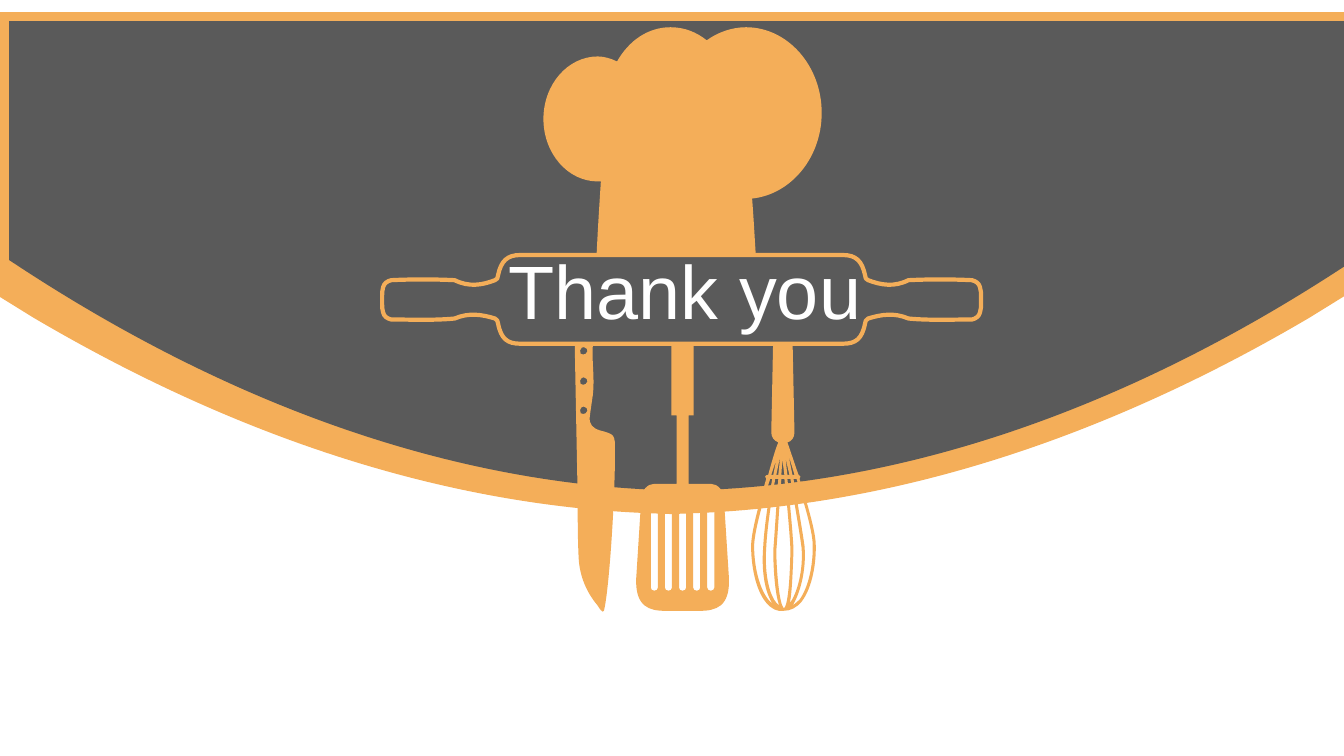
from lxml import etree
from pptx import Presentation
from pptx.dml.color import RGBColor
from pptx.enum.text import MSO_ANCHOR, PP_ALIGN
from pptx.oxml.ns import qn
from pptx.util import Inches, Pt

ORANGE = RGBColor(0xF4, 0xAE, 0x59)
GREY = RGBColor(0x5A, 0x5A, 0x5A)
WHITE = RGBColor(0xFF, 0xFF, 0xFF)


def trace(outline, axis=None):
    segs = []
    for part in outline.split(";"):
        v = [float(n) for n in part.split()]
        segs.append(list(zip(v[::2], v[1::2])))
    if axis is not None:
        for i in range(len(segs) - 1, 0, -1):
            back = segs[i][-2::-1] + [segs[i - 1][-1]]
            segs.append([(2 * axis - x, y) for x, y in back])
    return segs


def draw(shapes, outlines, fill, axis=None):
    contours = [trace(outlines[0], axis)] + [trace(o) for o in outlines[1:]]
    xs, ys = zip(*[seg[-1] for seg in contours[0]])
    left, top, right, bottom = [Inches(n) for n in (min(xs), min(ys), max(xs), max(ys))]
    builder = shapes.build_freeform(left, top)
    builder.add_line_segments([(right, top), (right, bottom), (left, bottom)])
    sp = builder.convert_to_shape()
    geometry = next(sp._element.iter(qn("a:path")))
    for child in list(geometry):
        geometry.remove(child)
    for segs in contours:
        for i, seg in enumerate(segs):
            tag = "a:moveTo" if i == 0 else "a:lnTo" if len(seg) == 1 else "a:cubicBezTo"
            step = etree.SubElement(geometry, qn(tag))
            for x, y in seg:
                etree.SubElement(step, qn("a:pt"), x=str(Inches(x) - left), y=str(Inches(y) - top))
        etree.SubElement(geometry, qn("a:close"))
    sp.shadow.inherit = False
    sp.fill.solid()
    sp.fill.fore_color.rgb = fill
    sp.line.fill.background()
    return sp


prs = Presentation()
prs.slide_width, prs.slide_height = Inches(13.33), Inches(7.5)
s = prs.slides.add_slide(prs.slide_layouts[6])

draw(s.shapes, ["6.66 0.12; 13.33 0.12; 13.33 2.94; 12.99 3.15;"
                "11.09 4.27 9.04 5 6.92 5.09; 6.66 5.1"], ORANGE, axis=6.66)
draw(s.shapes, ["6.76 0.21; 13.43 0.21; 13.43 2.58;"
                "11.46 3.89 9.29 4.76 7.03 4.86; 6.76 4.87"], GREY, axis=6.76)

tools = s.shapes.add_group_shape().shapes

knife = ["5.7 3.38; 5.71 3.91 5.72 4.41 5.73 4.94; 5.73 5.14 5.73 5.34 5.74 5.54;"
         "5.75 5.72 5.82 5.88 5.93 6.01; 5.94 6.03 5.98 6.09 5.99 6.06;"
         "6.04 5.87 6.1 4.98 6.1 4.48; 6.1 4.31 6.1 4.31 5.95 4.27;"
         "5.88 4.25 5.84 4.21 5.85 4.13; 5.86 4.06 5.87 3.99 5.88 3.92;"
         "5.9 3.75 5.87 3.6 5.88 3.43; 5.91 3.41 5.92 3.38 5.92 3.34;"
         "5.92 3.27 5.87 3.22 5.82 3.22; 5.78 3.22; 5.76 3.23 5.73 3.25 5.71 3.28;"
         "5.69 3.31 5.7 3.35 5.7 3.38"]
for y in (3.48, 3.78, 4.07):
    knife.append(f"5.77 {y - 0.03}; 5.78 {y - 0.04} 5.8 {y - 0.04} 5.82 {y - 0.02};"
                 f"5.83 {y - 0.01} 5.83 {y + 0.02} 5.81 {y + 0.03};"
                 f"5.8 {y + 0.04} 5.77 {y + 0.04} 5.76 {y + 0.03};"
                 f"5.75 {y + 0.01} 5.75 {y - 0.02} 5.77 {y - 0.03}")
draw(tools, knife, ORANGE)

spatula = ["6.77 3.21; 6.88 3.21; 6.88 4.12; 6.83 4.12; 6.83 4.8; 7.05 4.8;"
           "7.12 4.8 7.18 4.87 7.18 4.95; 7.23 5.74; 7.24 6.02 7.1 6.06 6.94 6.06; 6.77 6.06"]
for i in range(5):
    x = 6.49 + 0.14 * i
    l, r = x - 0.035, x + 0.035
    spatula.append(f"{x} 4.92; {x - 0.02} 4.92 {l} 4.93 {l} 4.95; {l} 5.83;"
                   f"{l} 5.85 {x - 0.02} 5.86 {x} 5.86; {x + 0.02} 5.86 {r} 5.85 {r} 5.83;"
                   f"{r} 4.95; {r} 4.93 {x + 0.02} 4.92 {x} 4.92")
draw(tools, spatula, ORANGE, axis=6.77)

whisk_body = ("7.6 5.98; 7.65 6.04 7.71 6.07 7.77 6.06; 7.84 6.06 7.9 6.03 7.95 5.97;"
              "8.06 5.83 8.1 5.57 8.09 5.38; 8.08 5.24 8 4.97 7.93 4.75; 7.94 4.73;"
              "7.94 4.72 7.93 4.71 7.92 4.71; 7.87 4.57 7.83 4.44 7.81 4.39;"
              "7.85 4.38 7.88 4.34 7.88 4.29; 7.86 3.32; 7.86 3.26 7.82 3.21 7.77 3.21;"
              "7.71 3.21 7.67 3.26 7.67 3.32; 7.65 4.29; 7.65 4.34 7.68 4.37 7.72 4.39;"
              "7.7 4.43 7.66 4.56 7.62 4.71; 7.6 4.71 7.59 4.72 7.59 4.73; 7.6 4.75;"
              "7.53 4.99 7.45 5.28 7.45 5.42; 7.45 5.6 7.49 5.85 7.6 5.98")
wire_gaps = [
    "7.78 4.75; 7.81 5.03 7.84 5.38 7.84 5.46; 7.83 6.01 7.78 6.03 7.78 6.03; 7.77 6.03;"
    "7.73 5.98 7.7 5.66 7.7 5.46; 7.71 5.35 7.73 5.02 7.75 4.75",
    "7.83 6; 7.85 5.92 7.86 5.77 7.87 5.46; 7.87 5.38 7.84 5.03 7.81 4.75; 7.84 4.75;"
    "7.88 4.99 7.93 5.28 7.95 5.43; 7.97 5.67 7.9 5.9 7.83 5.99",
    "7.72 4.75; 7.7 5.02 7.68 5.34 7.67 5.46; 7.67 5.58 7.68 5.88 7.73 6.01; 7.7 5.98;"
    "7.64 5.91 7.58 5.72 7.6 5.43; 7.61 5.23 7.65 4.97 7.69 4.75",
    "7.93 5.95; 7.91 5.97 7.88 5.99 7.86 6.01; 7.93 5.9 8 5.67 7.98 5.42;"
    "7.96 5.27 7.91 4.99 7.87 4.75; 7.9 4.75; 7.97 4.97 8.05 5.24 8.06 5.38;"
    "8.07 5.56 8.03 5.81 7.93 5.95",
    "7.48 5.42; 7.48 5.29 7.56 4.99 7.64 4.75; 7.66 4.75; 7.62 4.97 7.58 5.23 7.57 5.43;"
    "7.55 5.68 7.59 5.89 7.67 6; 7.63 5.96; 7.52 5.83 7.48 5.59 7.48 5.42",
]
neck_gaps = [f"{l} 4.71; {x} {y}; {r} 4.71" for l, x, y, r in (
    (7.65, 7.7, 4.56, 7.67), (7.7, 7.74, 4.52, 7.72), (7.75, 7.76, 4.56, 7.78),
    (7.81, 7.79, 4.54, 7.83), (7.86, 7.82, 4.51, 7.88))]
draw(tools, [whisk_body] + wire_gaps + neck_gaps, ORANGE)

draw(tools, ["8.15 1.12; 8.15 0.65 7.81 0.27 7.4 0.27; 7.26 0.27 7.12 0.32 7.01 0.4;"
             "6.91 0.32 6.79 0.27 6.65 0.27; 6.43 0.27 6.24 0.4 6.12 0.61;"
             "6.06 0.58 5.99 0.56 5.93 0.56; 5.63 0.56 5.39 0.84 5.39 1.18;"
             "5.39 1.52 5.63 1.8 5.93 1.8; 5.96 1.8; 5.94 2.11 5.92 2.42 5.91 2.72;"
             "5.9 2.85 5.92 2.87 6.02 2.85; 6.36 2.78 6.7 2.73 7.04 2.78; 7.14 2.79; 7.21 2.81;"
             "7.27 2.83 7.33 2.85 7.39 2.85; 7.49 2.86 7.51 2.85 7.51 2.72;"
             "7.49 2.47 7.48 2.22 7.46 1.97; 7.84 1.93 8.15 1.57 8.15 1.12"], ORANGE)

rolling_pin = draw(tools, [
    "6.76 2.53; 8.36 2.53; 8.49 2.53 8.55 2.59 8.58 2.73; 8.58 2.76 8.59 2.77 8.61 2.78;"
    "8.74 2.83 8.87 2.85 9.01 2.78; 9.21 2.77 9.44 2.77 9.64 2.78;"
    "9.68 2.79 9.71 2.81 9.72 2.85; 9.73 2.88 9.73 2.91 9.73 2.94; 9.73 3.01;"
    "9.73 3.04 9.73 3.07 9.72 3.1; 9.71 3.14 9.68 3.16 9.64 3.17;"
    "9.44 3.17 9.21 3.18 9.01 3.16; 8.87 3.1 8.74 3.12 8.61 3.16;"
    "8.59 3.17 8.58 3.19 8.58 3.21; 8.55 3.36 8.49 3.41 8.36 3.41; 6.76 3.41"],
    GREY, axis=6.76)
rolling_pin.line.color.rgb = ORANGE
rolling_pin.line.width = Pt(3)

title = s.shapes.add_textbox(Inches(-0.71), Inches(2.46), Inches(13.33), Inches(0.94))
tf = title.text_frame
tf.word_wrap = True
tf.vertical_anchor = MSO_ANCHOR.MIDDLE
tf.margin_left = Inches(1.77)
p = tf.paragraphs[0]
p.alignment = PP_ALIGN.CENTER
p.line_spacing = 0.9
r = p.add_run()
r.text = "Thank you"
r.font.name = "Arial"
r.font.size = Pt(54)
r.font.color.rgb = WHITE

prs.save("out.pptx")
